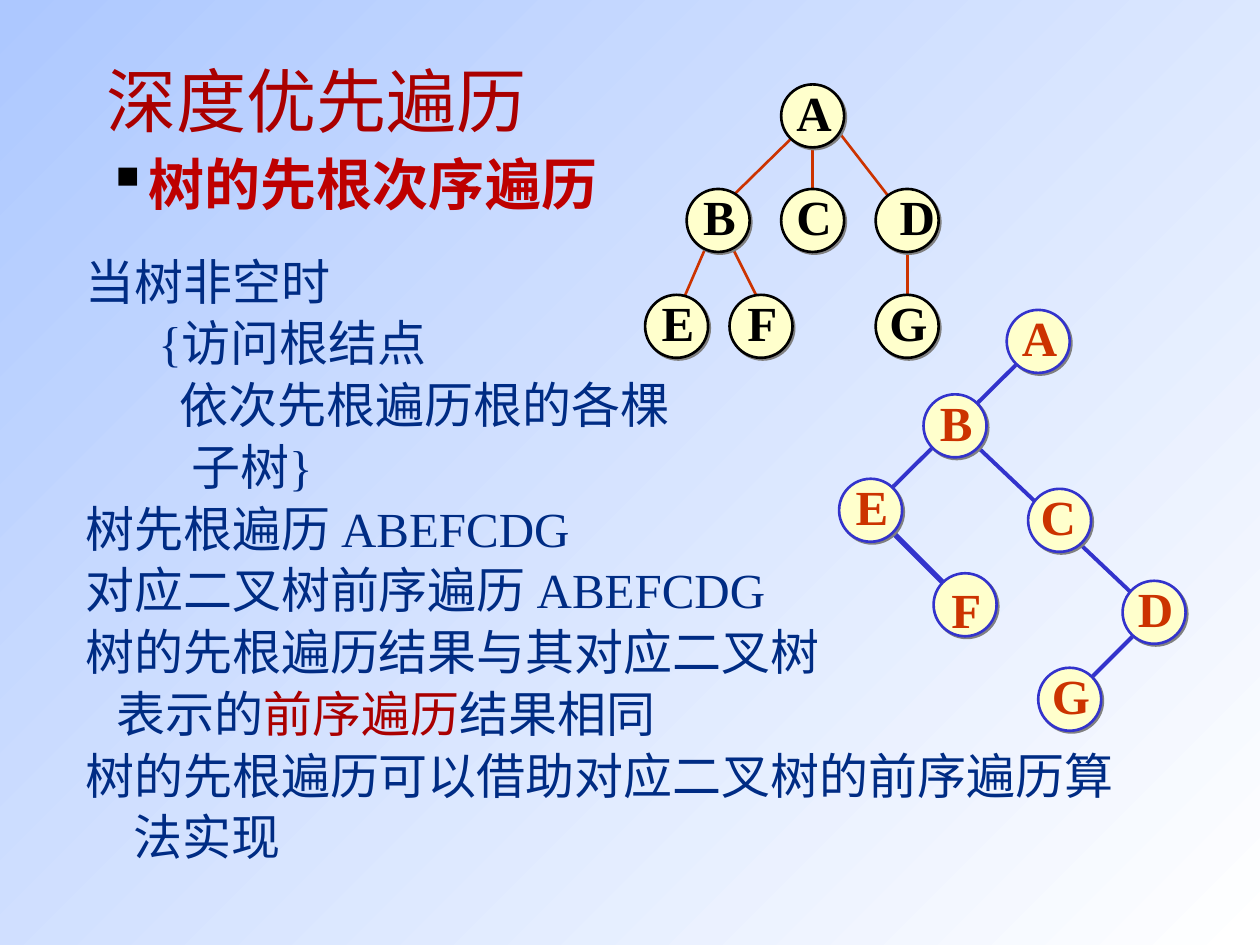
from dataclasses import dataclass
from lxml.etree import SubElement
from pptx import Presentation
from pptx.dml.color import RGBColor
from pptx.enum.shapes import MSO_CONNECTOR, MSO_SHAPE
from pptx.enum.text import MSO_ANCHOR, MSO_AUTO_SIZE, PP_ALIGN
from pptx.oxml.ns import qn
from pptx.util import Inches, Pt


@dataclass(frozen=True)
class Theme:
    sky: str = "ADC8FF"
    white: str = "FFFFFF"
    black: str = "000000"
    navy: str = "002C84"
    red: str = "AA0000"
    bright: str = "BE0000"
    rust: str = "CC3300"
    blue: str = "3333CC"
    cream: str = "FFFFCC"
    gray: str = "808080"
    serif: str = "Times New Roman"
    sans: str = "Arial"
    title: int = 40
    sub: int = 32
    body: int = 28


def rgb(color):
    return RGBColor.from_string(color)


class Deck:
    def __init__(self, theme):
        self.theme = theme
        self.file = Presentation()
        self.file.slide_width, self.file.slide_height = Inches(10), Inches(7.5)
        self.slide = self.file.slides.add_slide(self.file.slide_layouts[6])

    def back(self):
        fill = self.slide.background.fill
        fill.gradient()
        fill.gradient_angle = 315
        for stop, color in zip(fill.gradient_stops, (self.theme.sky, self.theme.white)):
            stop.color.rgb = rgb(color)

    def box(self, home, x, y, w, h, anchor=MSO_ANCHOR.MIDDLE):
        frame = home.shapes.add_textbox(*map(Inches, (x, y, w, h))).text_frame
        frame.word_wrap = True
        frame.vertical_anchor = anchor
        return frame

    def font(self, para, size, color, bold=False):
        font = para.font
        font.name, font.size, font.bold = self.theme.serif, Pt(size), bold
        font.color.rgb = rgb(color)

    def indent(self, para, left, first):
        props = para._p.get_or_add_pPr()
        props.set("marL", str(Inches(left)))
        props.set("indent", str(Inches(first)))
        return props

    def bullet(self, para, char, color):
        props = self.indent(para, 0.21, -0.21)
        SubElement(SubElement(props, qn("a:buClr")), qn("a:srgbClr"), val=color)
        SubElement(props, qn("a:buChar"), char=char)

    def edge(self, home, ends, color, width):
        line = home.shapes.add_connector(MSO_CONNECTOR.STRAIGHT, *map(Inches, ends))
        line.line.color.rgb, line.line.width = rgb(color), Pt(width)
        SubElement(line.element.spPr, qn("a:effectLst"))

    def node(self, home, x, y, color):
        ball = home.shapes.add_shape(
            MSO_SHAPE.OVAL, *map(Inches, (x, y, 0.5, 0.5)))
        ball.fill.solid()
        ball.fill.fore_color.rgb = rgb(self.theme.cream)
        ball.line.color.rgb, ball.line.width = rgb(color), Pt(1.5)
        ball.shadow.inherit = False
        list_ = ball.element.spPr.find(qn("a:effectLst"))
        shade = SubElement(list_, qn("a:outerShdw"), dist=str(Pt(1.4)),
                           dir="2700000", algn="ctr", rotWithShape="0")
        SubElement(shade, qn("a:srgbClr"), val=self.theme.gray)

    def label(self, home, text, x, y, color):
        wide = {"B": 0.46, "E": 0.46, "F": 0.44, "G": 0.5}.get(text, 0.48)
        frame = self.box(home, x - wide / 2, y, wide, 0.57)
        frame.word_wrap = False
        frame.auto_size = MSO_AUTO_SIZE.SHAPE_TO_FIT_TEXT
        para = frame.paragraphs[0]
        para.text, para.alignment = text, PP_ALIGN.CENTER
        self.font(para, self.theme.body, color, True)

    def tree(self, nodes, edges, edge, rim, ink, shift):
        """Draw edges, then nodes, then labels; shift nudges single labels."""
        group = self.slide.shapes.add_group_shape()
        for *ends, width in edges:
            self.edge(group, ends, edge, width)
        for x, y in nodes.values():
            self.node(group, x, y, rim)
        for name, (x, y) in nodes.items():
            right, down = shift.get(name, (0.01, -0.07))
            self.label(group, name, x + 0.25 + right, y + down, ink)


def main():
    theme = Theme()
    deck = Deck(theme)
    deck.back()

    # Title
    para = deck.box(deck.slide, 0.75, 0.5, 4.67, 0.58).paragraphs[0]
    para.text = "深度优先遍历"
    deck.font(para, theme.title, theme.red)

    # Body: left margin, first-line indent, runs of text and colour
    hang = (0.38, -0.38)
    lines = [
        (*hang, ["当树非空时"]),
        (0.58, 0, ["{访问根结点"]),
        (0.75, 0, ["依次先根遍历根的各棵"]),
        (0.84, 0, ["子树}"]),
        (*hang, ["树先根遍历 ABEFCDG"]),
        (*hang, ["对应二叉树前序遍历 ABEFCDG"]),
        (*hang, ["树的先根遍历结果与其对应二叉树"]),
        (0.25, 0, ["表示的", ("前序遍历", theme.red), "结果相同"]),
        (*hang, ["树的先根遍历可以借助对应二叉树的前序遍历算法实现"]),
    ]
    frame = deck.box(deck.slide, 0.58, 1.92, 8.5, 5, MSO_ANCHOR.TOP)
    for i, (left, first, parts) in enumerate(lines):
        para = frame.add_paragraph() if i else frame.paragraphs[0]
        deck.indent(para, left, first)
        para.line_spacing = 1.05
        deck.font(para, theme.body, theme.navy)
        for part in parts:
            run = para.add_run()
            if isinstance(part, tuple):
                run.text = part[0]
                run.font.color.rgb = rgb(part[1])
            else:
                run.text = part

    # Binary tree
    deck.tree(
        {"A": (7.99, 2.46), "B": (7.33, 3.13), "D": (8.91, 4.61), "C": (8.16, 3.88),
         "E": (6.66, 3.8), "G": (8.24, 5.3), "F": (7.41, 4.55)},
        [(6.99, 4.13, 7.49, 4.63, 3), (9.08, 4.96, 8.58, 5.46, 2.25),
         (8.16, 2.8, 6.99, 3.96, 2.25), (7.74, 3.53, 9.08, 4.8, 2.25)],
        theme.blue, theme.blue, theme.rust, {"F": (0.01, 0), "C": (-0.01, -0.07)})

    # Subtitle
    para = deck.box(deck.slide, 0.75, 1.08, 4.5, 0.75).paragraphs[0]
    deck.bullet(para, "▪", theme.black)
    deck.font(para, theme.sub, theme.bright, True)
    for text, name in (("树的", theme.sans), ("先根次序", theme.serif), ("遍历", theme.sans)):
        run = para.add_run()
        run.text, run.font.name = text, name

    # General tree
    top, mid, low = 0.67, 1.5, 2.34
    deck.tree(
        {"A": (6.2, top), "C": (6.2, mid), "F": (5.79, low), "E": (5.12, low),
         "B": (5.45, mid), "D": (6.95, mid), "G": (6.95, low)},
        [(*ends, 1.5) for ends in (
            (7.2, 1.92, 7.2, 2.5), (6.62, 1, 7.2, 1.75), (5.79, 1.92, 6.04, 2.42),
            (5.62, 1.92, 5.37, 2.5), (6.29, 1.09, 5.79, 1.58), (6.45, 1.09, 6.45, 1.58))],
        theme.rust, theme.black, theme.black, {"D": (0.08, -0.07)})

    deck.file.save("out.pptx")


if __name__ == "__main__":
    main()
